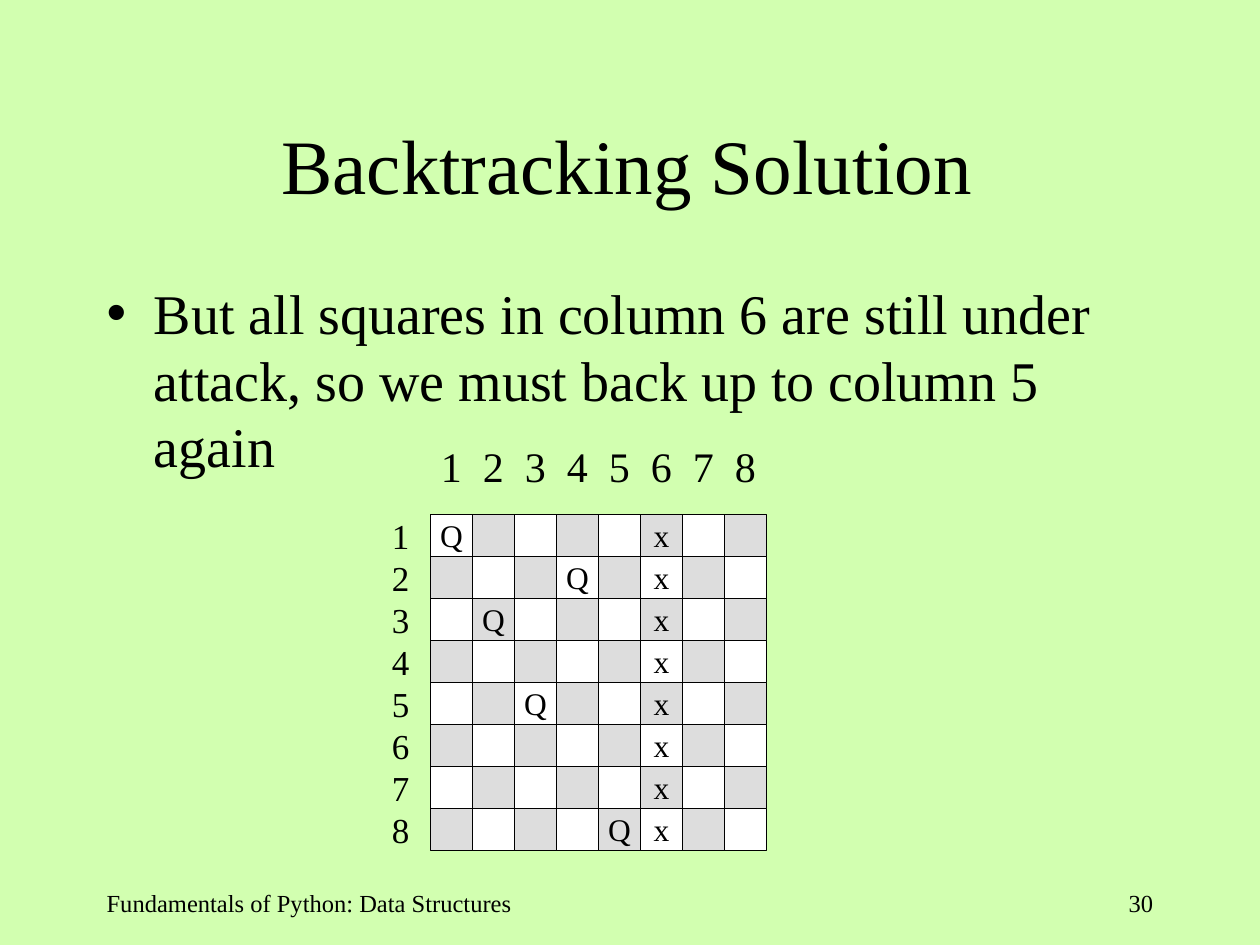
from dataclasses import dataclass

from lxml import etree
from pptx import Presentation
from pptx.dml.color import RGBColor
from pptx.enum.shapes import MSO_SHAPE
from pptx.enum.text import MSO_ANCHOR, MSO_AUTO_SIZE, PP_ALIGN
from pptx.oxml.ns import qn
from pptx.util import Cm, Pt

RECT = MSO_SHAPE.RECTANGLE
TOP, MID = MSO_ANCHOR.TOP, MSO_ANCHOR.MIDDLE
LEFT, MIDST, RIGHT = PP_ALIGN.LEFT, PP_ALIGN.CENTER, PP_ALIGN.RIGHT
FIXED, GROW = MSO_AUTO_SIZE.NONE, MSO_AUTO_SIZE.SHAPE_TO_FIT_TEXT

FONT = "Times New Roman"
HUES = {"page": "D2FFB0", "ink": "000000", "light": "FFFFFF", "dark": "DDDDDD"}
COUNT = 8
SIDE = 2.54 / 3
BOARD_X, BOARD_Y = 8.68, 10.37
QUEENS = {(1, 1), (2, 3), (3, 5), (4, 2), (5, 8)}
TRIED = 6
WIDTHS = {"Q": 0.69, "x": 0.53}
WIDE = (0.25, 0.13, 0.25, 0.13)
BODY = (0.25, 0.13, 0.36, 0.13)
SLIM = (0.1, 0, 0.1, 0)


@dataclass
class Label:
    text: str
    box: tuple
    size: int
    pads: tuple = SLIM
    align: PP_ALIGN = LEFT
    anchor: MSO_ANCHOR = TOP
    wrap: bool = True
    fit: MSO_AUTO_SIZE = FIXED
    pitch: int = 0


def hue(name: str) -> RGBColor:
    return RGBColor.from_string(HUES[name])


def write(shape, label: Label) -> None:
    shape.left, shape.top, shape.width, shape.height = map(Cm, label.box)
    frame = shape.text_frame
    frame.text = label.text
    frame.word_wrap = label.wrap
    frame.auto_size = label.fit
    frame.vertical_anchor = label.anchor
    (frame.margin_left, frame.margin_top,
     frame.margin_right, frame.margin_bottom) = map(Cm, label.pads)
    for para in frame.paragraphs:
        para.alignment = label.align
        if label.pitch:
            para.line_spacing = Pt(label.pitch)
        for run in para.runs:
            run.font.name = FONT
            run.font.size = Pt(label.size)
            run.font.color.rgb = hue("ink")


def add_label(shapes, label: Label):
    shape = shapes.add_textbox(*map(Cm, label.box))
    write(shape, label)
    return shape


def set_tabs(shape, step: float) -> None:
    props = shape.text_frame.paragraphs[0]._p.get_or_add_pPr()
    stops = etree.SubElement(props, qn("a:tabLst"))
    for num in range(1, COUNT):
        etree.SubElement(stops, qn("a:tab"), pos=str(Cm(step * num)), algn="l")


def add_square(shapes, col: int, row: int) -> None:
    left = BOARD_X + (col - 1) * SIDE
    top = BOARD_Y + (row - 1) * SIDE
    group = shapes.add_group_shape().shapes
    square = group.add_shape(RECT, Cm(left), Cm(top), Cm(SIDE), Cm(SIDE))
    square.shadow.inherit = False
    square.fill.solid()
    square.fill.fore_color.rgb = hue("dark" if (col + row) % 2 else "light")
    square.line.color.rgb = hue("ink")
    square.line.width = Pt(0.75)
    mark = "Q" if (col, row) in QUEENS else "x" if col == TRIED else ""
    if mark:
        width = WIDTHS[mark]
        box = (left + (SIDE - width) / 2, top + 0.04, width, 0.76)
        add_label(group, Label(mark, box, 18, align=MIDST, anchor=MID,
                               wrap=False, fit=GROW))


def main() -> None:
    deck = Presentation()
    deck.slide_width, deck.slide_height = Cm(25.4), Cm(19.05)
    slide = deck.slides.add_slide(deck.slide_layouts[1])
    slide.background.fill.solid()
    slide.background.fill.fore_color.rgb = hue("page")
    shapes = slide.shapes

    write(shapes.title, Label("Backtracking Solution", (1.9, 1.7, 21.6, 3.18),
                              44, BODY, MIDST, MID))
    body = slide.placeholders[1]
    write(body, Label(
        "But all squares in column 6 are still under attack, "
        "so we must back up to column 5 again",
        (1.9, 5.5, 21.6, 11.43), 32, BODY, pitch=38))
    body.text_frame.paragraphs[0].space_before = Pt(8)

    for col in range(1, COUNT + 1):
        for row in range(1, COUNT + 1):
            add_square(shapes, col, row)

    nums = [str(num) for num in range(1, COUNT + 1)]
    heads = add_label(shapes, Label("\t".join(nums), (8.79, 8.89, 6.58, 1.02), 24))
    set_tabs(heads, SIDE)
    add_label(shapes, Label("\n".join(nums), (7.8, BOARD_Y, 0.58, COUNT * SIDE),
                            20, wrap=False, fit=GROW, pitch=24))
    add_label(shapes, Label("Fundamentals of Python: Data Structures",
                            (1.9, 17.78, 9.32, 1.27), 14, WIDE))
    add_label(shapes, Label("30", (18.2, 17.78, 5.3, 1.27), 14, WIDE, RIGHT))
    deck.save("out.pptx")


if __name__ == "__main__":
    main()
